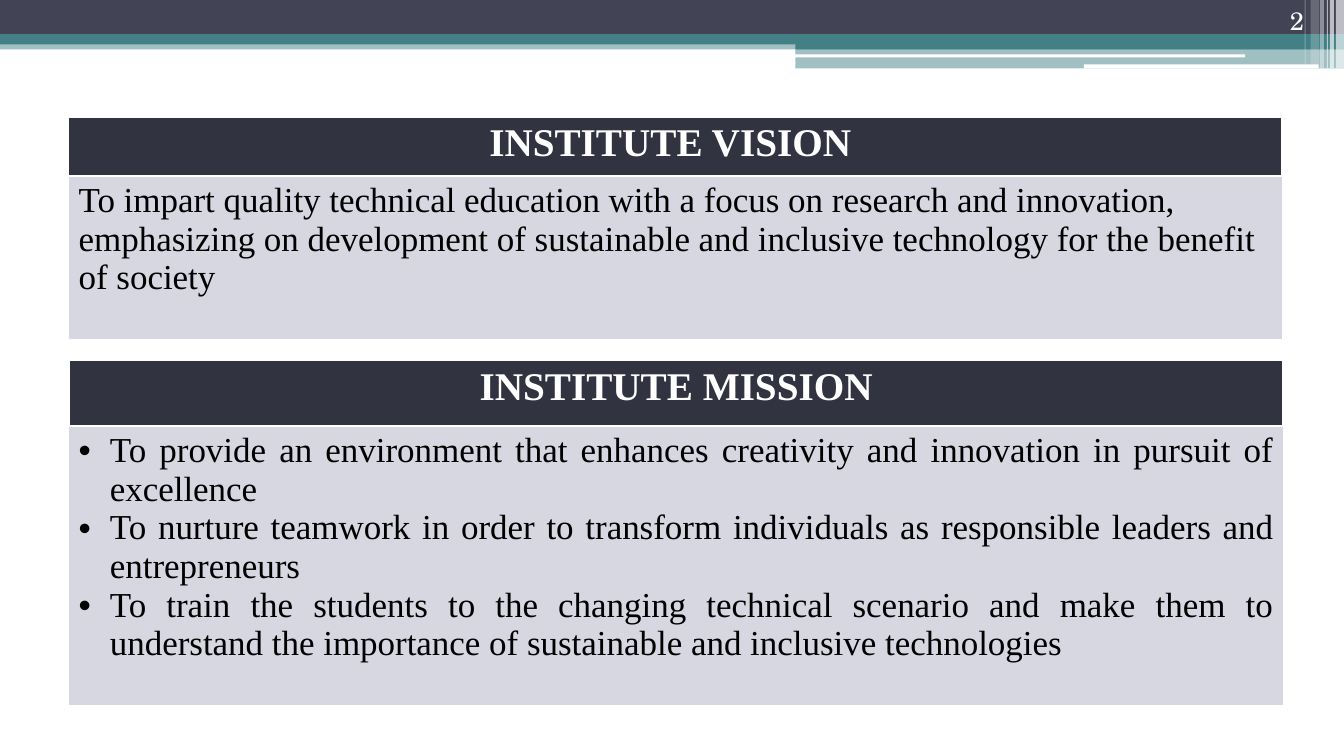
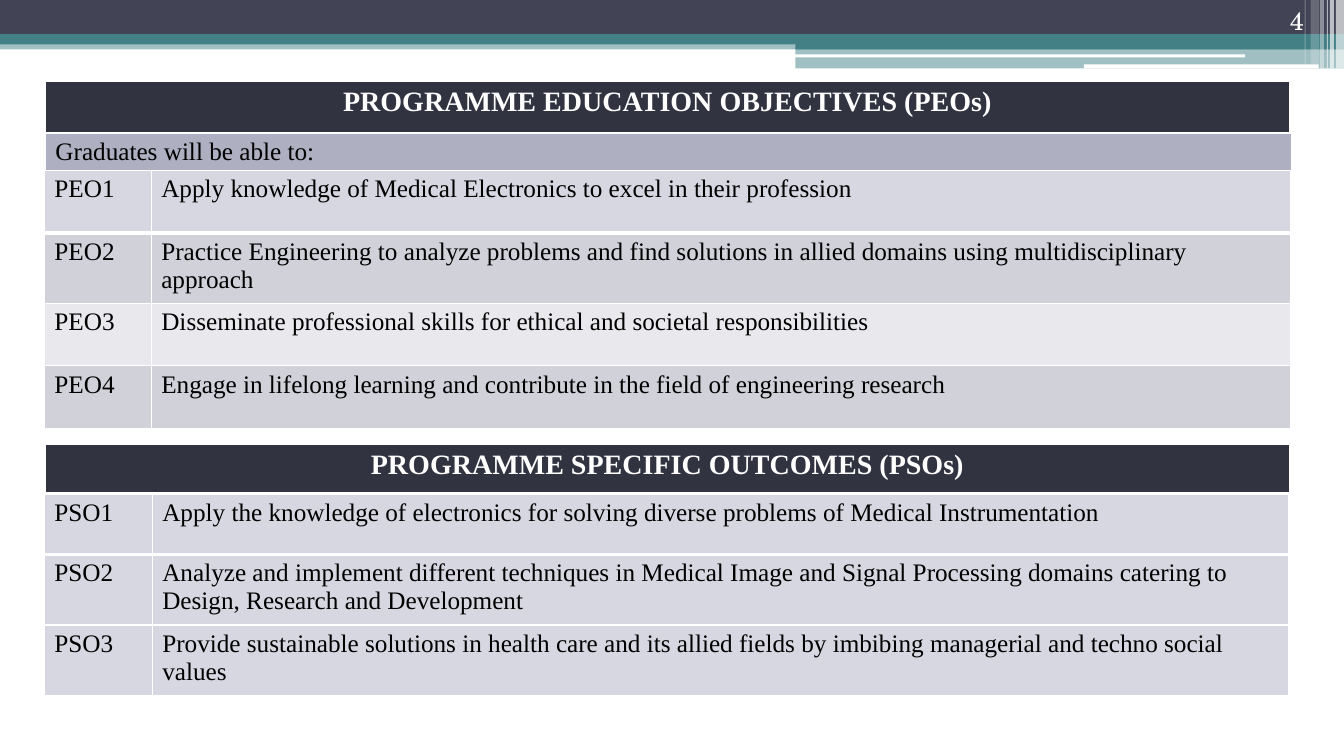
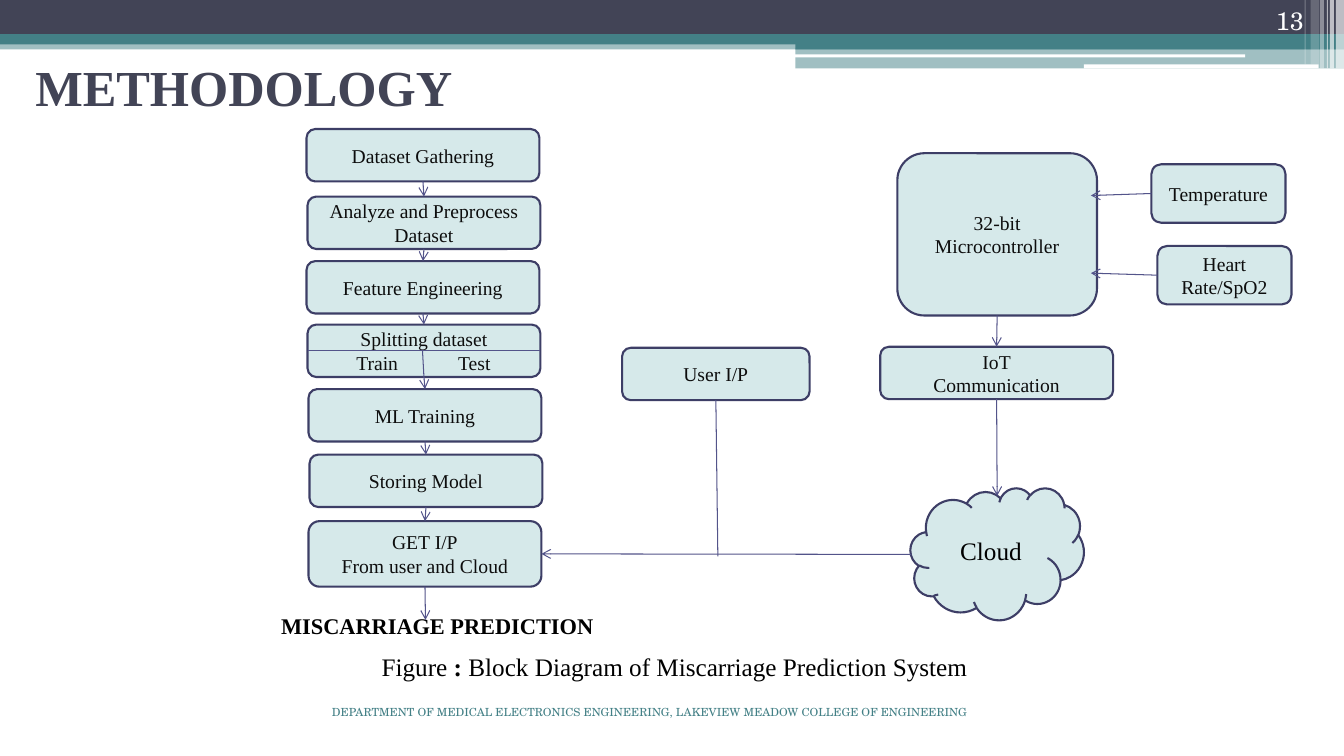
from dataclasses import dataclass
from lxml.etree import SubElement
from pptx import Presentation
from pptx.dml.color import RGBColor
from pptx.enum.shapes import MSO_CONNECTOR, MSO_SHAPE
from pptx.enum.text import MSO_ANCHOR, MSO_AUTO_SIZE, PP_ALIGN
from pptx.oxml.ns import qn
from pptx.shapes.autoshape import Shape
from pptx.util import Inches, Pt

TOP, LEFT, BOTTOM, RIGHT = range(4)


@dataclass(frozen=True)
class Theme:
    font: str = "Times New Roman"
    chrome_font: str = "TeX Gyre Schola"
    white: str = "FFFFFF"
    black: str = "000000"
    slate: str = "424456"
    teal: str = "438086"
    header: str = "323341"
    subheader: str = "AEB0C1"
    cell: str = "D6D7E0"
    band_dark: str = "D1D1DA"
    band_light: str = "E9E9ED"
    box: str = "D6E9EA"
    box_line: str = "3D3E66"
    box_text: str = "0D0D0D"
    connector: str = "53548A"
    title_size: int = 36
    heading: int = 28
    statement: int = 25
    subheading: int = 20
    body: int = 18
    label: int = 16
    small: int = 14
    footer: int = 8


T = Theme()

# left, top, width, height, colour, opacity in percent
BANDS = [
    (0, 0.4, 13.33, 0.09, T.teal, 50),
    (0, 0, 13.33, 0.34, T.slate, 100),
    (0, 0.34, 13.33, 0.1, T.teal, 100),
    (7.89, 0.39, 5.44, 0.1, T.teal, 100),
    (7.89, 0.48, 5.44, 0.2, T.teal, 50),
    (7.88, 0.54, 4.47, 0.03, T.white, 100),
    (10.75, 0.64, 2.33, 0.04, T.white, 100),
    (13.25, 0, 0.08, 0.68, T.white, 65),
    (13.19, 0, 0.04, 0.68, T.white, 65),
    (13.16, 0, 0.01, 0.68, T.white, 60),
    (13.09, 0, 0.04, 0.68, T.white, 40),
    (13, 0, 0.08, 0.64, T.white, 20),
    (12.94, 0, 0.01, 0.64, T.white, 30),
]


def rgb(colour):
    return RGBColor.from_string(colour)


def write(tf, paragraphs, size=T.body, color=T.black, font=T.font, bold=False,
          align=PP_ALIGN.LEFT, bullet=False, tabs=()):
    """Fill a text frame; a paragraph is a string or a list of (text, bold) runs."""
    if isinstance(paragraphs, str):
        paragraphs = [paragraphs]
    tf.word_wrap = True
    for i, runs in enumerate(paragraphs):
        p = tf.add_paragraph() if i else tf.paragraphs[0]
        p.alignment = align
        if isinstance(runs, str):
            runs = [(runs, bold)]
        for text, is_bold in runs:
            r = p.add_run()
            r.text = text
            r.font.size, r.font.name, r.font.bold = Pt(size), font, is_bold
            r.font.color.rgb = rgb(color)
        if bullet:
            pPr = p._p.get_or_add_pPr()
            pPr.set("marL", str(Inches(0.31)))
            pPr.set("indent", str(Inches(-0.31)))
            SubElement(pPr, qn("a:buFont"), typeface="Arial")
            SubElement(pPr, qn("a:buChar"), char="•")
        if tabs and "\t" in p.text:
            p.alignment = PP_ALIGN.LEFT
            tab_list = SubElement(p._p.get_or_add_pPr(), qn("a:tabLst"))
            for pos in tabs:
                SubElement(tab_list, qn("a:tab"), pos=str(Inches(pos)), algn="l")


def border(cell, bottom):
    """Give a cell 1 pt white borders, with its own bottom width in points."""
    tcPr = cell._tc.get_or_add_tcPr()
    for i, (side, width) in enumerate(zip("LRTB", (1, 1, 1, bottom))):
        ln = SubElement(tcPr, qn(f"a:ln{side}"), w=str(Pt(width)))
        SubElement(SubElement(ln, qn("a:solidFill")), qn("a:srgbClr"), val=T.white)
        tcPr.insert(i, ln)


class Deck:
    def __init__(self):
        self.prs = Presentation()
        self.prs.slide_width, self.prs.slide_height = Inches(13.33), Inches(7.5)
        self.s = None

    def slide(self, number, title=None):
        layout = self.prs.slide_layouts[5 if title else 6]
        self.s = self.prs.slides.add_slide(layout)
        if len(self.prs.slides) == 1:
            self.master_bands()
        if title:
            self.title(title)
        self.text(11.92, 0, 1.11, 0.4, str(number), anchor=MSO_ANCHOR.BOTTOM,
                  font=T.chrome_font, color=T.white, align=PP_ALIGN.RIGHT)

    def master_bands(self):
        """Draw the top bands and move them to the slide master."""
        tree = self.prs.slide_master.shapes.element
        for i, (x, y, w, h, colour, opacity) in enumerate(BANDS):
            sp = self.shape(x, y, w, h, colour, MSO_SHAPE.RECTANGLE)
            if opacity < 100:
                clr = sp.element.spPr.find(".//" + qn("a:srgbClr"))
                SubElement(clr, qn("a:alpha"), val=str(opacity * 1000))
            sp.name = f"Band {i + 1}"
            sp.element.nvSpPr.cNvPr.set("id", str(100 + i))
            tree.insert(2 + i, sp.element)

    def title(self, text):
        sp = self.s.shapes.title
        sp.left, sp.top = Inches(0.25), Inches(0.27)
        sp.width, sp.height = Inches(11.58), Inches(1.17)
        tf = sp.text_frame
        tf.auto_size = MSO_AUTO_SIZE.NONE
        tf.vertical_anchor = MSO_ANCHOR.MIDDLE
        write(tf, text, size=T.title_size, color=T.slate, bold=True)

    def text(self, x, y, w, h, paragraphs, anchor=MSO_ANCHOR.TOP, **fmt):
        sp = self.s.shapes.add_textbox(Inches(x), Inches(y), Inches(w), Inches(h))
        sp.text_frame.vertical_anchor = anchor
        write(sp.text_frame, paragraphs, **fmt)

    def shape(self, x, y, w, h, fill, kind):
        sp = self.s.shapes.add_shape(kind, Inches(x), Inches(y), Inches(w), Inches(h))
        sp.shadow.inherit = False
        sp.fill.solid()
        sp.fill.fore_color.rgb = rgb(fill)
        sp.line.fill.background()
        return sp

    def box(self, x, y, w, h, paragraphs, kind=MSO_SHAPE.ROUNDED_RECTANGLE,
            size=T.small, color=T.box_text, **fmt):
        sp = self.shape(x, y, w, h, T.box, kind)
        sp.line.color.rgb = rgb(T.box_line)
        sp.line.width = Pt(1.5)
        sp.text_frame.vertical_anchor = MSO_ANCHOR.MIDDLE
        write(sp.text_frame, paragraphs, size=size, color=color,
              align=PP_ALIGN.CENTER, **fmt)
        return sp

    def line(self, start, end, arrow=True):
        """Join two ends, each an (x, y) point or a (shape, side) pair."""
        c = self.s.shapes.add_connector(MSO_CONNECTOR.STRAIGHT, 0, 0, 0, 0)
        if isinstance(start[0], Shape):
            c.begin_connect(*start)
        else:
            c.begin_x, c.begin_y = map(Inches, start)
        if isinstance(end[0], Shape):
            c.end_connect(*end)
        else:
            c.end_x, c.end_y = map(Inches, end)
        c.line.color.rgb = rgb(T.connector)
        c.line.width = Pt(0.75)
        spPr = c.element.spPr
        if arrow:
            SubElement(spPr.find(qn("a:ln")), qn("a:tailEnd"), type="arrow")
        SubElement(spPr, qn("a:effectLst"))

    def table(self, x, y, cols, heights, rows, fills, **fmt):
        frame = self.s.shapes.add_table(
            len(rows), len(cols), Inches(x), Inches(y),
            Inches(sum(cols)), Inches(sum(heights)))
        table = frame.table
        table.first_row = table.horz_banding = False
        for col, width in zip(table.columns, cols):
            col.width = Inches(width)
        for i, (height, texts, fill) in enumerate(zip(heights, rows, fills)):
            table.rows[i].height = Inches(height)
            for cell, text in zip(table.rows[i].cells, texts):
                cell.fill.solid()
                cell.fill.fore_color.rgb = rgb(fill)
                border(cell, bottom=1 if i else 3)
                write(cell.text_frame, text, **fmt)

    def panel(self, x, y, w, h, paragraphs, fill=T.cell, **fmt):
        self.table(x, y, [w], [h], [[paragraphs]], [fill], **fmt)

    def heading(self, x, y, w, h, text, size):
        self.panel(x, y, w, h, text, T.header, size=size, color=T.white,
                   bold=True, align=PP_ALIGN.CENTER)


def vision_and_mission(deck):
    deck.slide(2)
    deck.heading(0.68, 1.16, 12.03, 0.59, "INSTITUTE VISION ", T.heading)
    deck.panel(0.68, 1.75, 12.04, 1.63,
               "To impart quality technical education with a focus on research and "
               "innovation, emphasizing on development of sustainable and inclusive "
               "technology for the benefit of society", size=T.statement)
    deck.heading(0.69, 3.58, 12.03, 0.65, "INSTITUTE MISSION", T.heading)
    deck.panel(0.68, 4.23, 12.05, 2.78, [
        "To provide an environment that enhances creativity and innovation in "
        "pursuit of excellence",
        "To nurture teamwork in order to transform individuals as responsible "
        "leaders and entrepreneurs",
        "To train the students to the changing technical scenario and make them to "
        "understand the importance of sustainable and inclusive technologies",
    ], size=T.statement, align=PP_ALIGN.JUSTIFY, bullet=True)


def objectives_and_outcomes(deck):
    deck.slide(4)
    deck.heading(0.45, 0.81, 12.34, 0.52, "PROGRAMME EDUCATION OBJECTIVES (PEOs)",
                 T.subheading)
    deck.panel(0.45, 1.32, 12.36, 0.38, "Graduates will be able to:", T.subheader)
    objectives = [
        "Apply knowledge of Medical Electronics to excel in their profession",
        "Practice Engineering to analyze problems and find solutions in allied "
        "domains using multidisciplinary approach",
        "Disseminate professional skills for ethical and societal responsibilities",
        "Engage in lifelong learning and contribute in the field of engineering "
        "research",
    ]
    deck.table(0.44, 1.69, [1.06, 11.3], [0.62, 0.66, 0.62, 0.62],
               [(f"PEO{i}", text) for i, text in enumerate(objectives, 1)],
               [T.cell, T.band_dark, T.band_light, T.band_dark])
    deck.heading(0.45, 4.41, 12.34, 0.49, "PROGRAMME SPECIFIC OUTCOMES (PSOs)",
                 T.subheading)
    outcomes = [
        "Apply the knowledge of electronics for solving diverse problems of Medical "
        "Instrumentation",
        "Analyze and implement different techniques in Medical Image and Signal "
        "Processing domains catering to Design, Research and Development",
        "Provide sustainable solutions in health care and its allied fields by "
        "imbibing managerial and techno social values",
    ]
    deck.table(0.44, 4.9, [1.07, 11.27], [0.6, 0.67, 0.67],
               [(f"PSO{i}", text) for i, text in enumerate(outcomes, 1)],
               [T.cell] * 3)


def methodology(deck):
    deck.slide(13, "METHODOLOGY")
    deck.text(2.88, 6.95, 6.82, 0.4,
              "DEPARTMENT OF MEDICAL ELECTRONICS ENGINEERING, "
              "LAKEVIEW MEADOW COLLEGE OF ENGINEERING",
              size=T.footer, font=T.chrome_font, color=T.teal, align=PP_ALIGN.RIGHT)
    deck.text(2.53, 6.41, 8.32, 0.4,
              [[("Figure ", False), (": ", True),
                ("Block Diagram of Miscarriage Prediction System", False)]],
              align=PP_ALIGN.CENTER)
    deck.text(2.69, 6.02, 3.33, 0.37, "MISCARRIAGE PREDICTION", size=T.label,
              bold=True)

    steps = [deck.box(x, y, 2.31, h, text, tabs=(0.36, 1.37)) for x, y, h, text in [
        (3.04, 1.28, 0.52, "Dataset Gathering"),
        (3.05, 1.95, 0.52, "Analyze and Preprocess Dataset"),
        (3.04, 2.59, 0.52, "Feature Engineering"),
        (3.05, 3.22, 0.52, ["Splitting dataset", "\tTrain\tTest"]),
        (3.06, 3.86, 0.52, "ML Training"),
        (3.07, 4.51, 0.52, "Storing Model"),
        (3.06, 5.17, 0.65, ["GET I/P", "From user and Cloud"]),
    ]]
    for upper, lower in zip(steps, steps[1:]):
        deck.line((upper, BOTTOM), (lower, TOP))
    split, get_input = steps[3], steps[-1]
    deck.line((split, LEFT), (split, RIGHT), arrow=False)
    deck.line((4.19, 3.47), (split, BOTTOM), arrow=False)
    deck.line((get_input, BOTTOM), (4.22, 6.15))

    controller = deck.box(8.9, 1.52, 1.98, 1.61, ["32-bit", "Microcontroller"])
    iot = deck.box(8.73, 3.44, 2.31, 0.52, ["IoT", "Communication"])
    deck.box(9.03, 4.84, 1.72, 1.31, "Cloud", MSO_SHAPE.CLOUD, T.body, T.black)
    user = deck.box(6.17, 3.45, 1.86, 0.52, "User I/P")
    temperature = deck.box(11.42, 1.63, 1.33, 0.58, "Temperature")
    heart_rate = deck.box(11.48, 2.44, 1.33, 0.58, "Heart Rate/SpO2")
    deck.line((temperature, LEFT), (10.82, 1.94))
    deck.line((heart_rate, LEFT), (10.82, 2.71))
    deck.line((controller, BOTTOM), (iot, TOP))
    deck.line((iot, BOTTOM), (9.89, 4.92))
    deck.line((9.04, 5.5), (get_input, RIGHT))
    deck.line((user, BOTTOM), (7.12, 5.52), arrow=False)


def main():
    deck = Deck()
    vision_and_mission(deck)
    objectives_and_outcomes(deck)
    methodology(deck)
    deck.prs.save("out.pptx")


if __name__ == "__main__":
    main()
